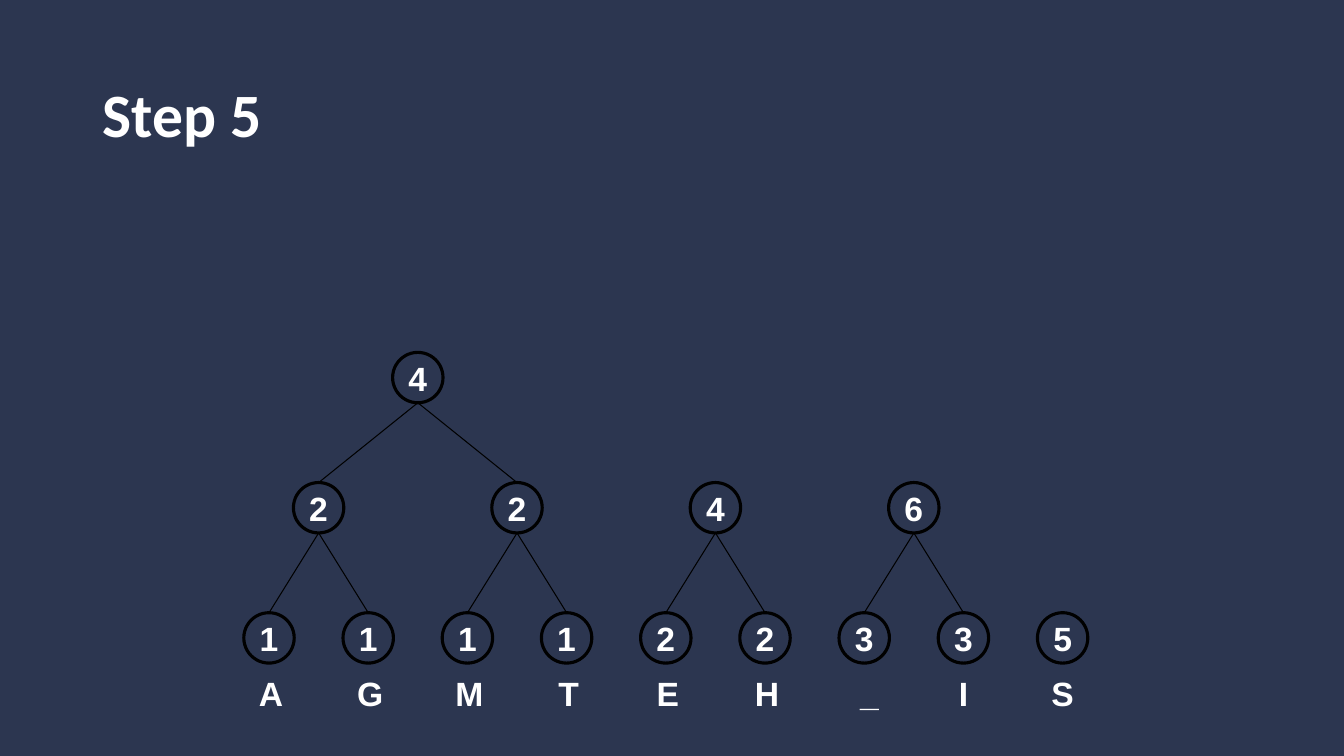
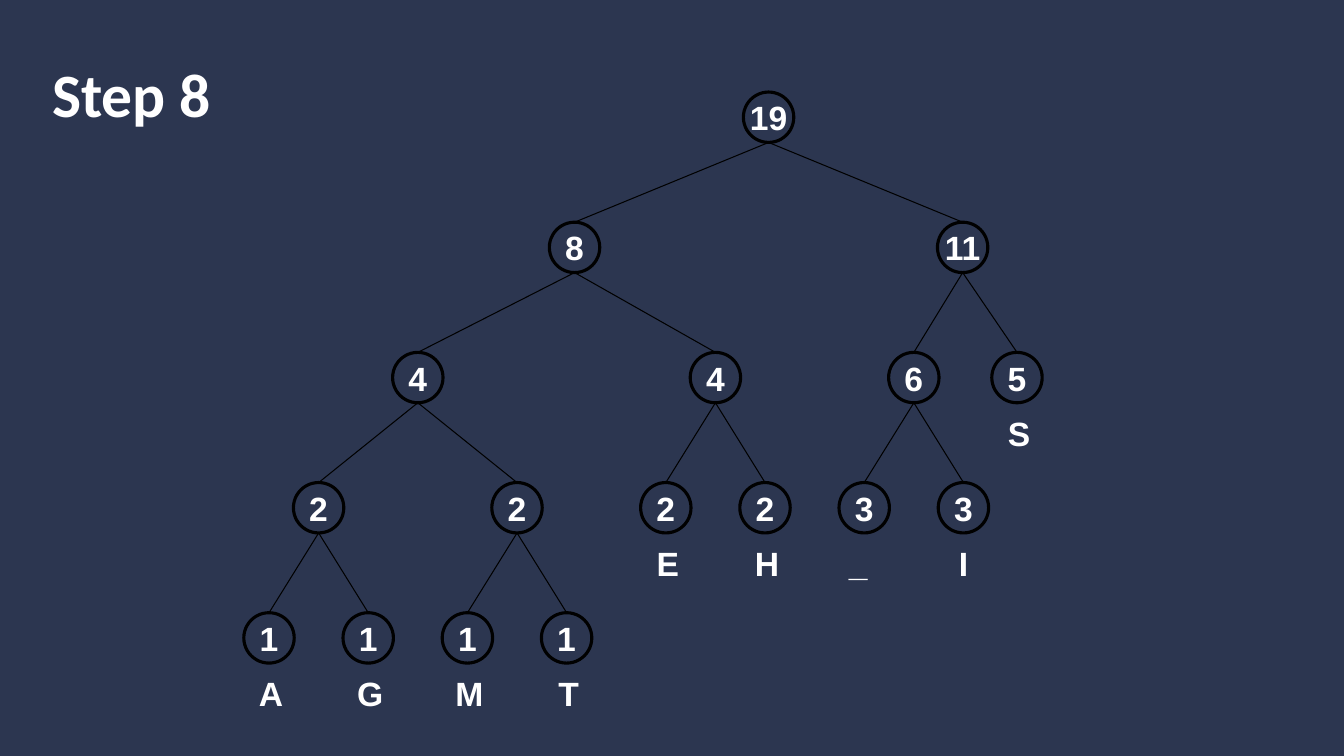
"""Build two steps of a Huffman tree as slides."""
from dataclasses import dataclass
from typing import Any, Optional

from lxml import etree
from pptx import Presentation
from pptx import util as u
from pptx.dml.color import RGBColor
from pptx.enum import shapes, text
from pptx.oxml import ns


@dataclass(frozen=True)
class Theme:
    """Colours, fonts and type sizes of the deck."""
    back: RGBColor = RGBColor(0x2C, 0x36, 0x50)
    ink: RGBColor = RGBColor(0xFF, 0xFF, 0xFF)
    line: RGBColor = RGBColor(0, 0, 0)
    head: str = "Calibri"
    body: str = "Arial"
    big: int = 44
    mid: int = 24
    thin: float = 0.75
    thick: float = 2.25


@dataclass(frozen=True)
class Node:
    """A tree node, centred over its children unless x is given."""
    label: str
    kids: tuple["Node", ...] = ()
    x: Optional[float] = None
    letter: str = ""
    lean: float = 0.05

    @property
    def mid(self) -> float:
        """Return the horizontal centre in centimetres."""
        if self.x is not None:
            return self.x
        return sum(kid.mid for kid in self.kids) / len(self.kids)


@dataclass(frozen=True)
class Step:
    """A slide title, its box and the roots with their rows."""
    title: str
    box: tuple[float, float, float, float]
    roots: tuple[tuple[Node, int], ...]


THEME = Theme()
SIZE = 1.27
BASE, RISE = 15.44, 3.28
FIRST, PITCH = 6.78, 2.5
DROP = 1.4
FRAME = {"word_wrap": False, "auto_size": text.MSO_AUTO_SIZE.NONE}


def leaf(label: str, letter: str, slot: int, lean: float = 0.05) -> Node:
    """Return a leaf placed in a slot of the bottom grid."""
    return Node(label, x=FIRST + slot * PITCH, letter=letter, lean=lean)


def pair(label: str, left: Node, right: Node, x: Optional[float] = None) -> Node:
    """Return a node that joins two children."""
    return Node(label, (left, right), x)


def put(item: Any, form: dict[str, Any]) -> None:
    """Set each attribute of an object from a dict."""
    for name, value in form.items():
        setattr(item, name, value)


def write(shape: Any, words: str, font: str, size: int, align: Any, frame: dict[str, Any]) -> None:
    """Fill a shape with one bold line of text."""
    put(shape.text_frame, frame)
    shape.text_frame.text = words
    para = shape.text_frame.paragraphs[0]
    para.alignment = align
    put(para.font, {"name": font, "size": u.Pt(size), "bold": True})
    para.font.color.rgb = THEME.ink


def label(shape: Any, words: str, anchor: Any) -> None:
    """Write a centred node value or letter."""
    write(shape, words, THEME.body, THEME.mid, text.PP_ALIGN.CENTER,
          FRAME | {"vertical_anchor": anchor})


def stroke(line: Any, width: float) -> None:
    """Give a line its colour and width."""
    line.color.rgb = THEME.line
    line.width = u.Pt(width)


def link(slide: Any, top: Any, low: Any) -> None:
    """Join the bottom of one circle to the top of another."""
    edge = slide.shapes.add_connector(shapes.MSO_CONNECTOR.STRAIGHT, 0, 0, 0, 0)
    edge.begin_connect(top, 2)
    edge.end_connect(low, 0)
    edge.element.xpath(".//a:stCxn")[0].set("idx", "4")
    stroke(edge.line, THEME.thin)
    etree.SubElement(edge.element.spPr, ns.qn("a:effectLst"))


def draw(slide: Any, node: Node, row: int) -> Any:
    """Draw a node with its subtree and return its circle."""
    left, top = node.mid - SIZE / 2, BASE - row * RISE
    ring = slide.shapes.add_shape(shapes.MSO_SHAPE.FLOWCHART_CONNECTOR,
                                  u.Cm(left), u.Cm(top), u.Cm(SIZE), u.Cm(SIZE))
    ring.shadow.inherit = False
    ring.fill.background()
    stroke(ring.line, THEME.thick)
    label(ring, node.label, text.MSO_ANCHOR.MIDDLE)
    if node.letter:
        note = slide.shapes.add_textbox(u.Cm(left + node.lean), u.Cm(top + DROP),
                                        u.Cm(SIZE), u.Cm(SIZE))
        label(note, node.letter, text.MSO_ANCHOR.TOP)
    for kid in node.kids:
        link(slide, ring, draw(slide, kid, row - 1))
    return ring


def build(deck: Any, step: Step) -> None:
    """Add one slide with its title and trees."""
    slide = deck.slides.add_slide(deck.slide_layouts[5])
    title = slide.shapes.title
    put(title, dict(zip(("left", "top", "width", "height"), map(u.Cm, step.box))))
    write(title, step.title, THEME.head, THEME.big, text.PP_ALIGN.LEFT,
          {"vertical_anchor": text.MSO_ANCHOR.MIDDLE, "word_wrap": True})
    for root, row in step.roots:
        draw(slide, root, row)


def main() -> None:
    """Build and save the deck."""
    deck = Presentation()
    put(deck, {"slide_width": u.Cm(33.87), "slide_height": u.Cm(19.05)})
    fill = deck.slide_master.background.fill
    fill.solid()
    fill.fore_color.rgb = THEME.back

    ones = pair("4", pair("2", leaf("1", "A", 0), leaf("1", "G", 1)),
                pair("2", leaf("1", "M", 2), leaf("1", "T", 3)))
    twos = pair("4", leaf("2", "E", 4), leaf("2", "H", 5))
    last = leaf("3", "I", 7, 0)
    five = pair("6", leaf("3", "_", 6, 0.13), last)
    six = pair("6", leaf("3", "_", 6, -0.15), last)
    right = pair("11", six, Node("5", x=25.63, letter="S"), 24.26)
    whole = pair("19", pair("8", ones, twos, 14.48), right)

    steps = (
        Step("Step 5", (2.33, 1.01, 29.21, 3.68),
             ((ones, 2), (twos, 1), (five, 1), (leaf("5", "S", 8, 0), 0))),
        Step("Step 8", (1.06, 0.49, 5.72, 3.68), ((whole, 4),)),
    )
    for step in steps:
        build(deck, step)
    deck.save("out.pptx")


if __name__ == "__main__":
    main()
